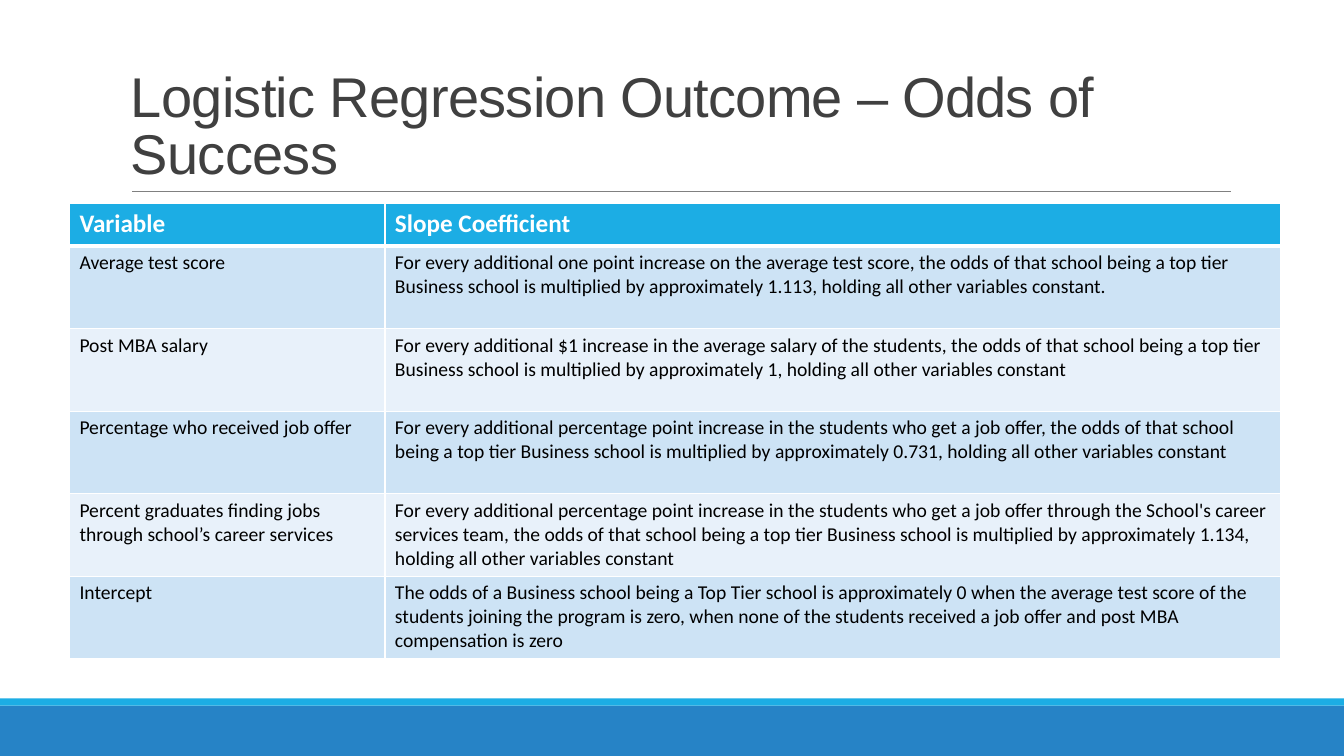
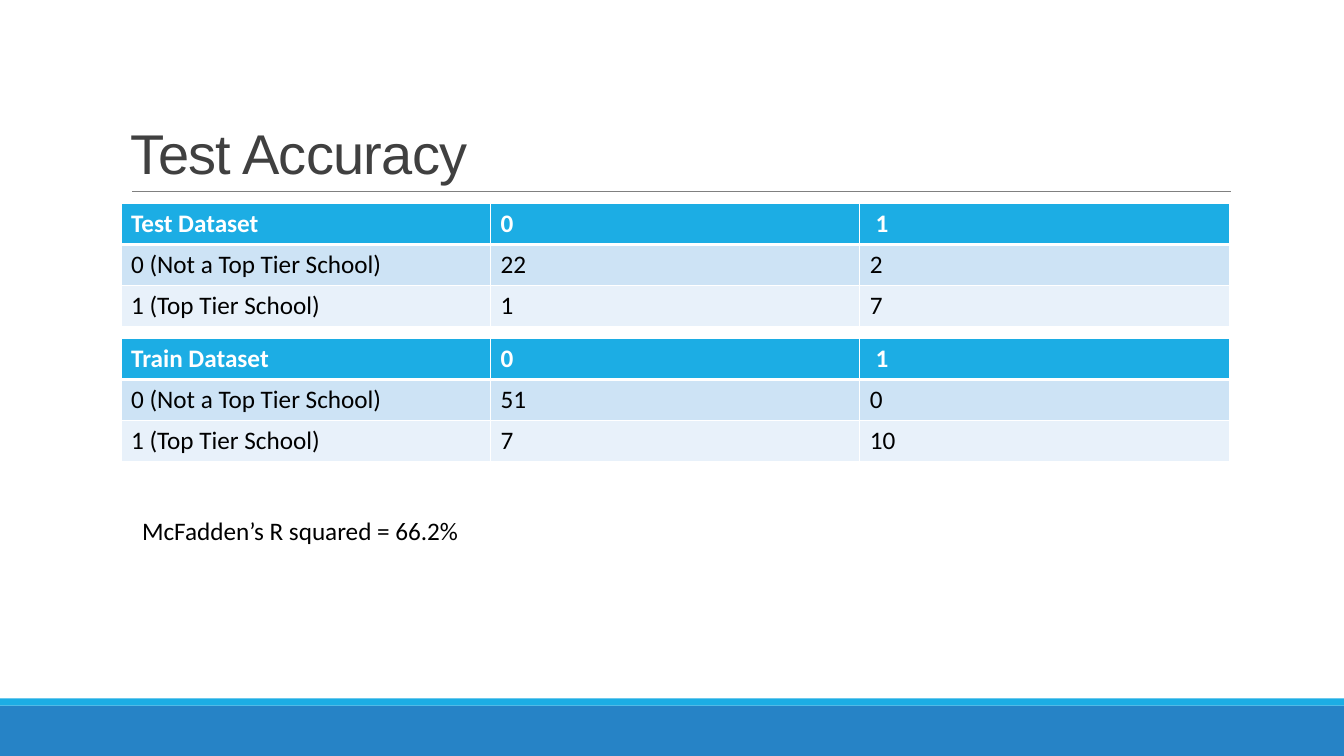
from lxml import etree
from pptx import Presentation
from pptx.dml.color import RGBColor
from pptx.enum import shapes, text
from pptx.oxml import ns
from pptx.util import Cm, Pt

WHITE = RGBColor(0xFF, 0xFF, 0xFF)
BLACK = RGBColor(0, 0, 0)
TITLE_GREY = RGBColor(0x40, 0x40, 0x40)
RULE_GREY = RGBColor(0x80, 0x80, 0x80)
BLUE = RGBColor(0x26, 0x83, 0xC6)
CYAN = RGBColor(0x1C, 0xAD, 0xE4)
ROW_FILLS = (RGBColor(0xCD, 0xE3, 0xF5), RGBColor(0xE8, 0xF1, 0xFA))

SLIDE_W, SLIDE_H = 33.87, 19.05
TABLE_TOP = 5.13

ODDS = [
    ("Variable", "Slope Coefficient"),
    ("Average test score",
     "For every additional one point increase on the average test score, the odds of that "
     "school being a top tier Business school is multiplied by approximately 1.113, holding "
     "all other variables constant."),
    ("Post MBA salary",
     "For every additional $1 increase in the average salary of the students, the odds of that "
     "school being a top tier Business school is multiplied by approximately 1, holding all "
     "other variables constant"),
    ("Percentage who received job offer",
     "For every additional percentage point increase in the students who get a job offer, the "
     "odds of that school being a top tier Business school is multiplied by approximately "
     "0.731, holding all other variables constant"),
    ("Percent graduates finding jobs through school’s career services",
     "For every additional percentage point increase in the students who get a job offer "
     "through the School's career services team, the odds of that school being a top tier "
     "Business school is multiplied by approximately 1.134, holding all other variables "
     "constant"),
    ("Intercept",
     "The odds of a Business school being a Top Tier school is approximately 0 when the average "
     "test score of the students joining the program is zero, when none of the students "
     "received a job offer and post MBA compensation is zero"),
]


def write(tf, content, size=18, color=BLACK, bold=False, font="Calibri",
          line_spacing=None, tracking=None):
    """Put one formatted paragraph in a text frame; tracking is in points."""
    p = tf.paragraphs[0]
    p.line_spacing = line_spacing
    r = p.add_run()
    r.text = content
    r.font.size, r.font.bold, r.font.name = Pt(size), bold, font
    r.font.color.rgb = color
    if tracking is not None:
        r.font._element.set("spc", str(round(tracking * 100)))


def add_text(s, x, y, w, h, content, anchor=text.MSO_ANCHOR.TOP, **style):
    tf = s.shapes.add_textbox(Cm(x), Cm(y), Cm(w), Cm(h)).text_frame
    tf.word_wrap = True
    tf.vertical_anchor = anchor
    write(tf, content, **style)


def add_band(s, y, h, color):
    sp = s.shapes.add_shape(shapes.MSO_SHAPE.RECTANGLE, 0, Cm(y), Cm(SLIDE_W), Cm(h))
    sp.shadow.inherit = False
    sp.fill.solid()
    sp.fill.fore_color.rgb = color
    sp.line.fill.background()


def add_rule(s, x1, x2, y):
    line = s.shapes.add_connector(shapes.MSO_CONNECTOR.STRAIGHT, Cm(x1), Cm(y), Cm(x2), Cm(y))
    line.line.color.rgb = RULE_GREY
    line.line.width = Pt(0.5)
    etree.SubElement(line._element.spPr, ns.qn("a:effectLst"))


def add_slide(prs, title):
    """Add a blank slide with the shared bands, title and rule."""
    s = prs.slides.add_slide(prs.slide_layouts[6])
    add_band(s, 17.78, 1.27, BLUE)
    add_band(s, 17.6, 0.18, CYAN)
    add_rule(s, 3.33, 31.01, 4.83)
    add_text(s, 3.05, 0.79, 27.94, 4.03, title, anchor=text.MSO_ANCHOR.BOTTOM,
             size=40, color=TITLE_GREY, font="Arial", line_spacing=0.85, tracking=-0.5)
    return s


def set_borders(cell, top, bottom):
    """Draw white cell borders; top and bottom are widths in points."""
    tc_pr = cell._tc.get_or_add_tcPr()
    for side, width in (("L", 1), ("R", 1), ("T", top), ("B", bottom)):
        ln = etree.SubElement(tc_pr, ns.qn(f"a:ln{side}"), w=str(Pt(width)))
        fill = etree.SubElement(ln, ns.qn("a:solidFill"))
        etree.SubElement(fill, ns.qn("a:srgbClr"), val=str(WHITE))


def add_data_table(s, x, y, col_widths, row_heights, rows, body_size=18):
    table = s.shapes.add_table(len(rows), len(col_widths), Cm(x), Cm(y),
                               Cm(sum(col_widths)), Cm(sum(row_heights))).table
    table.horz_banding = False
    for col, width in zip(table.columns, col_widths):
        col.width = Cm(width)
    for i, (row, height, values) in enumerate(zip(table.rows, row_heights, rows)):
        row.height = Cm(height)
        header = i == 0
        for cell, value in zip(row.cells, values):
            set_borders(cell, top=3 if i == 1 else 1, bottom=3 if header else 1)
            cell.fill.solid()
            cell.fill.fore_color.rgb = CYAN if header else ROW_FILLS[(i - 1) % 2]
            write(cell.text_frame, value, size=18 if header else body_size,
                  color=WHITE if header else BLACK, bold=header)


def add_confusion_table(s, y, name, not_top, top):
    rows = [(name, "0", " 1"),
            ("0 (Not a Top Tier School)", *not_top),
            ("1 (Top Tier School)", *top)]
    add_data_table(s, 3.05, y, [9.31] * 3, [1.03] * 3, rows)


def main():
    prs = Presentation()
    prs.slide_width, prs.slide_height = Cm(SLIDE_W), Cm(SLIDE_H)

    s = add_slide(prs, "Logistic Regression Outcome – Odds of Success")
    add_data_table(s, 1.75, TABLE_TOP, [7.95, 22.56], [1.07] + [2.08] * 5, ODDS, body_size=14)

    s = add_slide(prs, "Test Accuracy")
    add_confusion_table(s, TABLE_TOP, "Test Dataset", ("22", "2"), ("1", "7"))
    add_confusion_table(s, 8.53, "Train Dataset", ("51", "0"), ("7", "10"))
    add_text(s, 3.33, 12.85, 17.4, 1.03, "McFadden’s R squared = 66.2%")

    prs.save("out.pptx")


if __name__ == "__main__":
    main()
